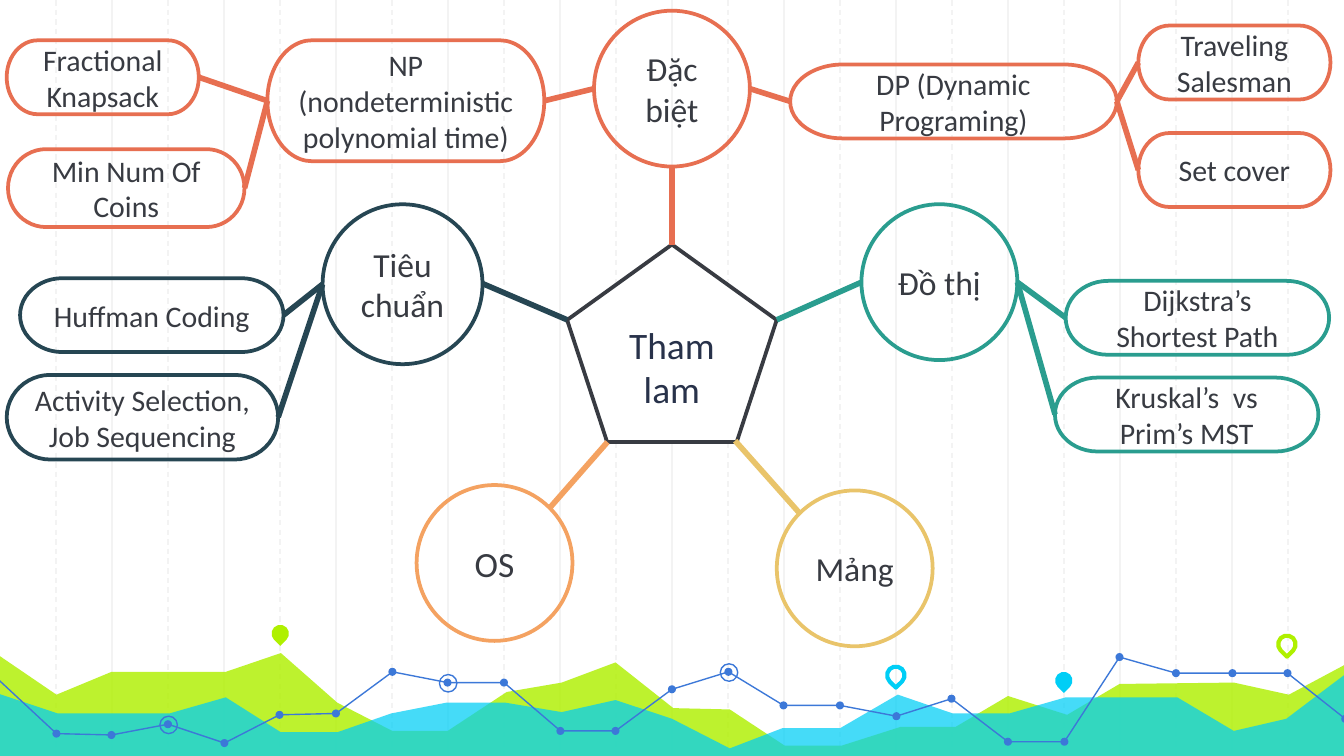
"""Build a mind map of greedy algorithms over a decorative line graph."""
from lxml import etree
from pptx import Presentation
from pptx.dml.color import RGBColor
from pptx.enum.dml import MSO_LINE
from pptx.enum.shapes import MSO_CONNECTOR, MSO_SHAPE
from pptx.enum.text import MSO_ANCHOR, PP_ALIGN
from pptx.oxml.ns import qn
from pptx.util import Cm, Pt

OVAL = MSO_SHAPE.OVAL
PILL = MSO_SHAPE.FLOWCHART_TERMINATOR
PENTA = MSO_SHAPE.REGULAR_PENTAGON
DROP = MSO_SHAPE.TEAR
STRAIGHT = MSO_CONNECTOR.STRAIGHT
DASH = MSO_LINE.DASH
CENTER = PP_ALIGN.CENTER
MIDDLE = MSO_ANCHOR.MIDDLE
LEFT, RIGHT = 1, 3
WIDE, HIGH = Cm(25.4), Cm(14.29)

HUES = {
    "grid": "F3F3F3", "lime": "AFF000", "cyan": "00CEF6", "blue": "3C78D8",
    "white": "FFFFFF", "ink": "383B42", "deep": "28324A", "navy": "264653",
    "teal": "2A9D8F", "red": "E76F51", "gold": "E9C46A", "amber": "F4A261",
}

HILLS = [
    ("lime", 82, [
        (-0.02, 4.87), (0.42, 5.17), (0.83, 5), (1.68, 5), (2.09, 4.86),
        (2.51, 5.23), (2.92, 5.44), (3.33, 5.44), (3.77, 5.15), (4.18, 5.08),
        (4.58, 4.93), (5.01, 5.27), (5.43, 5.28), (5.84, 5.55), (6.26, 5.55),
        (6.7, 5.41), (7.11, 5.41), (7.5, 5.18), (7.94, 5.32), (8.33, 5.09),
        (9.18, 5.08), (9.59, 5.17), (10.02, 4.94), (10.01, 5.64), (-0.03, 5.64)]),
    ("cyan", 73, [
        (-0.02, 5.16), (0.43, 5.31), (1.26, 5.31), (1.68, 5.19), (2.09, 5.45),
        (2.51, 5.45), (2.91, 5.31), (3.32, 5.23), (3.76, 5.23), (4.18, 5.3),
        (4.58, 5.21), (5, 5.35), (5.43, 5.57), (5.82, 5.42), (6.25, 5.42),
        (6.68, 5.17), (7.09, 5.31), (7.51, 5.31), (7.93, 5.19), (8.76, 5.19),
        (9.18, 5.44), (9.57, 5.35), (10.02, 5.01), (10.02, 5.65), (-0.03, 5.65)]),
]
TREND = [
    (-0.01, 5.06), (0.42, 5.46), (0.83, 5.47), (1.25, 5.39), (1.67, 5.53),
    (2.08, 5.32), (2.5, 5.31), (2.92, 5), (3.33, 5.08), (3.75, 5.08),
    (4.17, 5.44), (4.58, 5.44), (5, 5.13), (5.42, 5), (5.83, 5.25),
    (6.25, 5.25), (6.67, 5.33), (7.08, 5.2), (7.5, 5.52), (7.92, 5.52),
    (8.33, 4.89), (8.75, 5.01), (9.17, 5.01), (9.58, 5.01), (10.01, 5.35)]
BREAKS = (0, 11, 20, 24)
RINGED = (3, 8, 13)
PINS = [(2.02, 4.65, "lime", True), (6.6, 4.96, "cyan", False),
        (7.85, 5, "cyan", True), (9.51, 4.73, "lime", False)]

HUBS = [
    ("Tiêu chuẩn", "navy", (2.4, 1.52, 1.19, 1.19), 18, (4.22, 2.38), (3.59, 2.11)),
    ("OS", "amber", (3.1, 3.61, 1.16, 1.16), 19, (4.52, 3.29), (4.09, 3.78)),
    ("Đặc biệt", "red", (4.42, 0.08, 1.16, 1.16), 18, (5, 1.82), (5, 1.24)),
    ("Mảng", "gold", (5.78, 3.65, 1.16, 1.16), 18, (5.47, 3.28), (5.95, 3.82)),
    ("Đồ thị", "teal", (6.41, 1.52, 1.16, 1.16), 18, (5.78, 2.38), (6.41, 2.1)),
]
NP = "NP (nondeterministic polynomial time)"
DP = "DP (Dynamic Programing)"
LEAVES = [
    ("Huffman Coding", "navy", (0.15, 2.07, 1.96, 0.55), RIGHT, "Tiêu chuẩn"),
    ("Activity Selection, Job Sequencing", "navy", (0.05, 2.79, 2.02, 0.63),
     RIGHT, "Tiêu chuẩn"),
    ("Dijkstra’s Shortest Path", "teal", (7.93, 2.09, 1.96, 0.55), LEFT, "Đồ thị"),
    ("Kruskal’s  vs Prim’s MST", "teal", (7.85, 2.81, 1.96, 0.55), LEFT, "Đồ thị"),
    (DP, "red", (5.88, 0.48, 2.43, 0.55), LEFT, "Đặc biệt"),
    (NP, "red", (1.99, 0.3, 2.06, 0.9), RIGHT, "Đặc biệt"),
    ("Traveling Salesman", "red", (8.47, 0.19, 1.43, 0.55), LEFT, DP),
    ("Set cover", "red", (8.47, 0.99, 1.43, 0.55), LEFT, DP),
    ("Fractional Knapsack", "red", (0.05, 0.3, 1.43, 0.55), RIGHT, NP),
    ("Min Num Of Coins", "red", (0.06, 1.11, 1.76, 0.58), RIGHT, NP),
]


def cm(inch):
    """Turn inches into a length in centimetres."""
    return Cm(inch * 2.54)


def rgb(hue):
    """Look up a named colour."""
    return RGBColor.from_string(HUES[hue])


def paint(shape, fill=None, line=None, width=0.75):
    """Set the fill and outline of a shape, and drop its shadow."""
    shape.shadow.inherit = False
    if fill:
        shape.fill.solid()
        shape.fill.fore_color.rgb = rgb(fill)
    else:
        shape.fill.background()
    if line:
        shape.line.color.rgb = rgb(line)
        shape.line.width = Pt(width)
    else:
        shape.line.fill.background()


def form(slide, kind, box, **style):
    """Add a preset shape."""
    shape = slide.shapes.add_shape(kind, *map(cm, box))
    paint(shape, **style)
    return shape


def write(shape, text, size=16, hue="ink", font="Calibri", align=CENTER):
    """Put formatted text in a shape."""
    frame = shape.text_frame
    frame.word_wrap = True
    frame.vertical_anchor = MIDDLE
    para = frame.paragraphs[0]
    para.alignment = align
    run = para.add_run()
    run.text = text
    run.font.name = font
    run.font.size = Pt(size)
    run.font.color.rgb = rgb(hue)


def trace(slide, points, close, **style):
    """Draw an outline through points."""
    spots = [(cm(x), cm(y)) for x, y in points]
    pen = slide.shapes.build_freeform(*spots[0])
    pen.add_line_segments(spots[1:], close=close)
    shape = pen.convert_to_shape()
    paint(shape, **style)
    return shape


def fade(shape, level):
    """Make a solid fill see-through, with opacity in percent."""
    color = shape._element.spPr.find(qn("a:solidFill"))[0]
    etree.SubElement(color, qn("a:alpha"), val=str(level * 1000))


def link(slide, start, end, hue, width=3):
    """Draw a straight line between two points."""
    line = slide.shapes.add_connector(STRAIGHT, *start, *end)
    line.line.color.rgb = rgb(hue)
    line.line.width = Pt(width)
    etree.SubElement(line._element.spPr, qn("a:effectLst"))
    return line


def edge(shape, side):
    """Find the middle of the left or right side."""
    x = shape.left + (shape.width if side == RIGHT else 0)
    return x, shape.top + shape.height // 2


def scene(slide):
    """Draw the grid, hills, trend line and pins."""
    for odd in (0, 1):
        for step in range(2 - odd, 24, 2):
            x = WIDE * step // 24
            line = link(slide, (x, 0), (x, cm(5.65)), "grid", 0.75)
            if odd:
                line.line.dash_style = DASH
    for hue, level, points in HILLS:
        fade(trace(slide, points, True, fill=hue), level)
    for first, last in zip(BREAKS, BREAKS[1:]):
        trace(slide, TREND[first:last + 1], False, line="blue")
    for x, y in TREND[1:]:
        form(slide, OVAL, (x - 0.03, y - 0.03, 0.06, 0.06), fill="blue")
    for spot in RINGED:
        x, y = TREND[spot]
        form(slide, OVAL, (x - 0.06, y - 0.06, 0.13, 0.13), line="blue")
    for x, y, hue, full in PINS:
        style = {"fill": hue} if full else {"line": hue, "width": 2.25}
        form(slide, DROP, (x, y, 0.13, 0.13), **style).rotation = 135


def tree(slide):
    """Draw the centre, its hubs and their leaves."""
    core = form(slide, PENTA, (4.22, 1.82, 1.56, 1.47),
                fill="white", line="ink", width=2)
    write(core, "Tham lam", size=20, hue="deep")
    nodes = {}
    for text, hue, box, size, start, end in HUBS:
        nodes[text] = form(slide, OVAL, box, line=hue, width=2)
        write(nodes[text], text, size=size)
        link(slide, map(cm, start), map(cm, end), hue)
    for text, hue, box, side, top in LEAVES:
        leaf = nodes[text] = form(slide, PILL, box, line=hue, width=2)
        write(leaf, text)
        back = LEFT + RIGHT - side
        line = link(slide, edge(nodes[top], back), edge(leaf, side), hue)
        line.end_connect(leaf, side)
        if top in (NP, DP):
            line.begin_connect(nodes[top], back)


def main():
    """Build and save the slide."""
    deck = Presentation()
    deck.slide_width, deck.slide_height = WIDE, HIGH
    slide = deck.slides.add_slide(deck.slide_layouts[6])
    scene(slide)
    tree(slide)
    deck.save("out.pptx")


if __name__ == "__main__":
    main()
